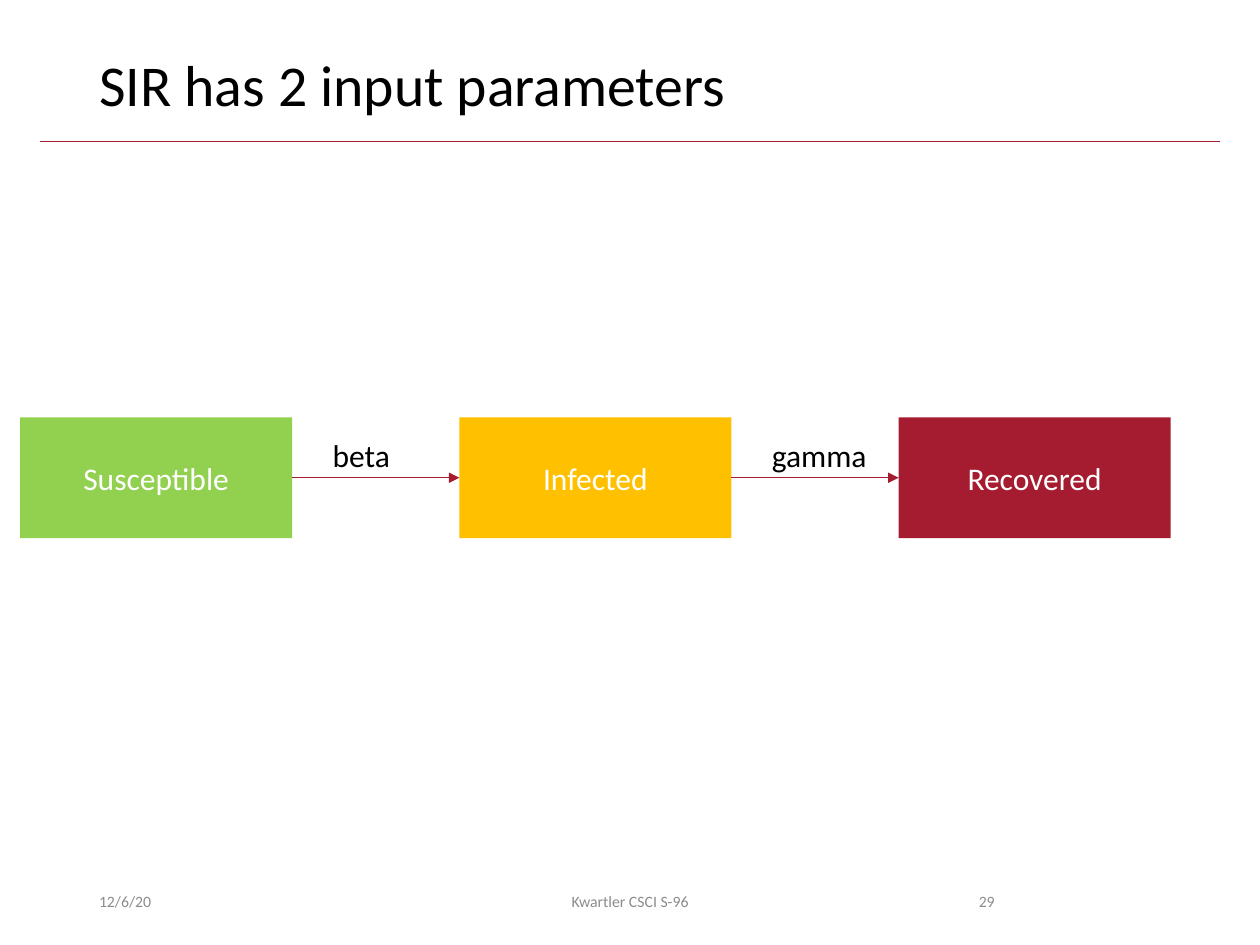
from pptx import Presentation
from pptx.dml.color import RGBColor
from pptx.enum.shapes import MSO_CONNECTOR as CONN, MSO_SHAPE as SHAPE
from pptx.enum.text import MSO_ANCHOR as ANCHOR, MSO_AUTO_SIZE as FIT, PP_ALIGN as ALIGN
from pptx.oxml.ns import qn
from pptx.util import Pt
from lxml.etree import SubElement

CRIMSON, GREY, BLACK, WHITE = "A51C30", "8C8C8C", "000000", "FFFFFF"
STATES = [("Susceptible", "92D050"), ("Infected", "FFC000"), ("Recovered", CRIMSON)]
RATES = [("beta", 47.5), ("gamma", 69)]  # label and its width


def rgb(value):
    return RGBColor.from_string(value)


def set_text(sp, text, size, color, align=ALIGN.LEFT, **frame):
    tf = sp.text_frame
    for name, value in {"word_wrap": True, "vertical_anchor": ANCHOR.MIDDLE, **frame}.items():
        setattr(tf, name, value)
    p = tf.paragraphs[0]
    p.alignment = align
    r = p.add_run()
    r.text = text
    for name, value in {"name": "Calibri", "size": Pt(size)}.items():
        setattr(r.font, name, value)
    r.font.color.rgb = rgb(color)
    return p


def add_label(s, box, text, size, color, align=ALIGN.LEFT, **frame):
    sp = s.shapes.add_textbox(*map(Pt, box))
    set_text(sp, text, size, color, align, **frame)


def add_line(s, x1, x2, y, arrow=False):
    line = s.shapes.add_connector(CONN.STRAIGHT, Pt(x1), Pt(y), Pt(x2), Pt(y))
    line.line.color.rgb = rgb(CRIMSON)
    line.line.width = Pt(0.5)
    if arrow:
        SubElement(line.line._get_or_add_ln(), qn("a:tailEnd"), type="triangle")
    SubElement(line._element.spPr, qn("a:effectLst"))


def add_header(s, box, text):
    left, top, width, height = box
    title = s.shapes.title
    for name, value in zip(("left", "top", "width", "height"), box):
        setattr(title, name, Pt(value))
    p = set_text(title, text, 33, BLACK, vertical_anchor=ANCHOR.TOP, auto_size=FIT.NONE)
    p.line_spacing = 0.9
    # Rule below the title, wider than it on both sides
    add_line(s, left - 26.5, left + width + 26.5, top + height + 5)


def add_flow(s, box):
    left, top, width, height = box
    box_w = 155.5
    pitch = (width - box_w) / (len(STATES) - 1)
    # State boxes
    for i, (name, color) in enumerate(STATES):
        sp = s.shapes.add_shape(SHAPE.RECTANGLE, Pt(left + i * pitch), Pt(top),
                                Pt(box_w), Pt(height))
        sp.shadow.inherit = False
        sp.fill.solid()
        sp.fill.fore_color.rgb = rgb(color)
        sp.line.fill.background()
        set_text(sp, name, 18, WHITE, ALIGN.CENTER)
    # Arrows with their rates
    for i, (name, label_w) in enumerate(RATES):
        start = left + i * pitch + box_w
        add_line(s, start, start + pitch - box_w, top + height / 2, arrow=True)
        add_label(s, (start + 16, top + 7, label_w, 29), name, 18, BLACK,
                  word_wrap=False, auto_size=FIT.SHAPE_TO_FIT_TEXT,
                  vertical_anchor=ANCHOR.TOP)


def add_footer(s, box):
    left, top, width, height = box
    parts = [(0, 162, "12/6/20", ALIGN.LEFT),
             ((width - 243) / 2, 243, "Kwartler CSCI S-96", ALIGN.CENTER),
             (458.5, 67.5, "29", ALIGN.RIGHT)]
    for x, w, text, align in parts:
        add_label(s, (left + x, top, w, height), text, 9, GREY, align)


def main():
    prs = Presentation()
    prs.slide_width, prs.slide_height = Pt(720), Pt(540)
    s = prs.slides.add_slide(prs.slide_layouts[5])
    add_header(s, (49.5, 28.75, 621, 47), "SIR has 2 input parameters")
    add_flow(s, (11.5, 238.5, 657.5, 69))
    add_footer(s, (49.5, 500.5, 621, 28.75))
    prs.save("out.pptx")


if __name__ == "__main__":
    main()
